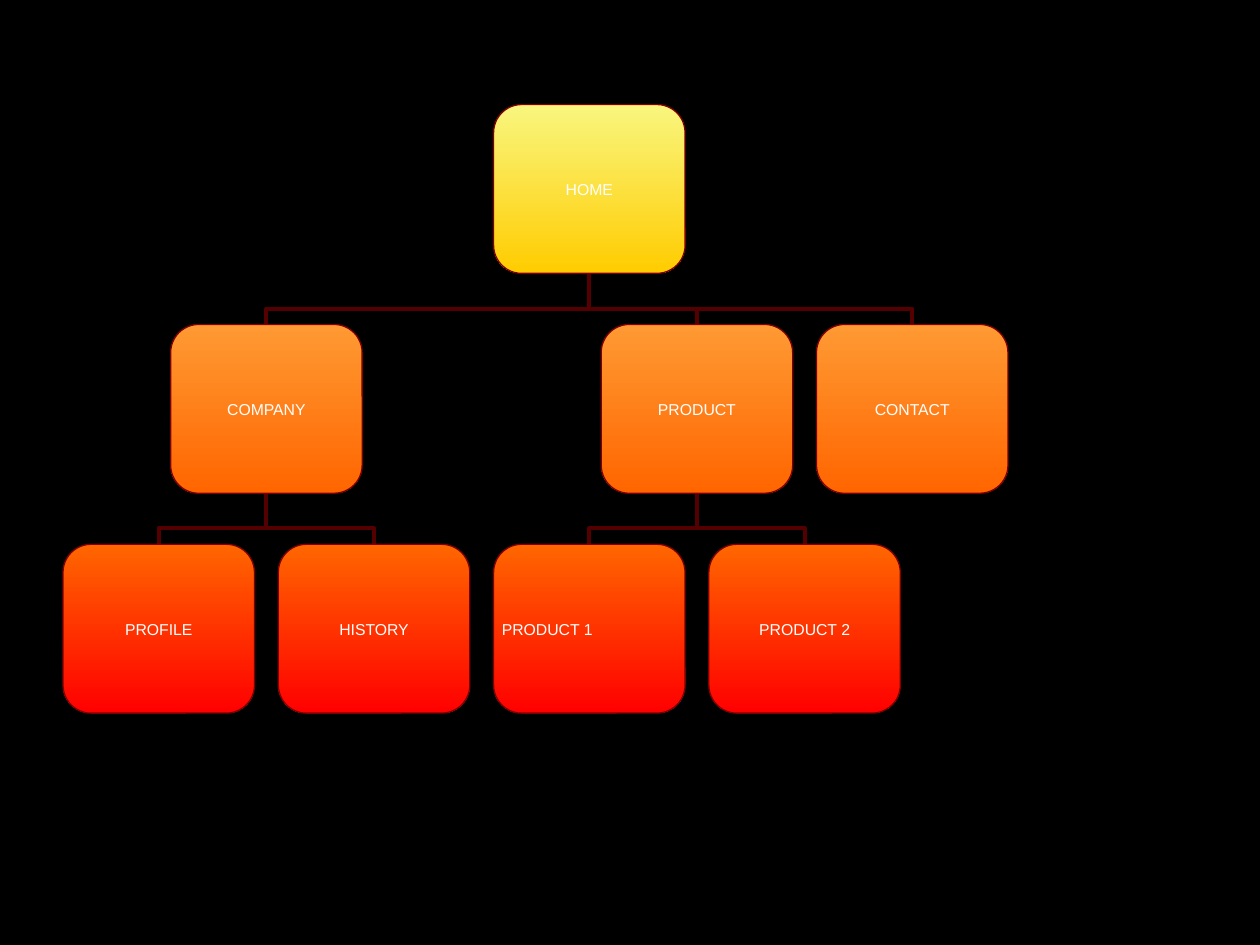
from lxml.etree import SubElement
from pptx import Presentation
from pptx.dml.color import RGBColor
from pptx.enum.shapes import MSO_CONNECTOR as CONNECTOR, MSO_SHAPE as SHAPE
from pptx.enum.text import MSO_ANCHOR, PP_ALIGN
from pptx.oxml.ns import qn
from pptx.util import Inches, Pt

BLACK = RGBColor(0x00, 0x00, 0x00)
WHITE = RGBColor(0xFF, 0xFF, 0xFF)
MAROON = RGBColor(0x80, 0x00, 0x00)
DARK_MAROON = RGBColor(0x54, 0x00, 0x00)
YELLOW = RGBColor(0xF9, 0xF6, 0x7F)
GOLD = RGBColor(0xFF, 0xCC, 0x00)
LIGHT_ORANGE = RGBColor(0xFF, 0x99, 0x33)
ORANGE = RGBColor(0xFF, 0x66, 0x00)
RED = RGBColor(0xFF, 0x00, 0x00)

LEVEL_GRADIENTS = [(YELLOW, GOLD), (LIGHT_ORANGE, ORANGE), (ORANGE, RED)]
CARD_WIDTH, CARD_HEIGHT = Inches(1.52), Inches(1.34)
COLUMN_SPAN = 3.5  # column steps from the first card to the last

# Page: (level, column, parent)
PAGES = {
    "HOME": (0, 2, None),
    "COMPANY": (1, 0.5, "HOME"),
    "PRODUCT": (1, 2.5, "HOME"),
    "CONTACT": (1, 3.5, "HOME"),
    "PROFILE": (2, 0, "COMPANY"),
    "HISTORY": (2, 1, "COMPANY"),
    "PRODUCT 1": (2, 2, "PRODUCT"),
    "PRODUCT 2": (2, 3, "PRODUCT"),
}
LEFT_ALIGNED = {"PRODUCT 1"}
TEXT_FRAME_FORMAT = {
    "margin_left": 0, "margin_top": 0, "margin_right": 0, "margin_bottom": 0,
    "vertical_anchor": MSO_ANCHOR.MIDDLE, "word_wrap": True,
}
FONT_FORMAT = {"name": "Arial", "size": Pt(9)}


def set_format(target, values):
    for attribute, value in values.items():
        setattr(target, attribute, value)


def add_branch(shapes, child, parent):
    """Link the top of a child card to the bottom of its parent."""
    child_x, child_y = child[0] + CARD_WIDTH // 2, child[1]
    parent_x, parent_y = parent[0] + CARD_WIDTH // 2, parent[1] + CARD_HEIGHT
    center_x, center_y = (child_x + parent_x) // 2, (child_y + parent_y) // 2
    half_run, half_gap = abs(child_x - parent_x) // 2, (child_y - parent_y) // 2

    # The elbow is laid out sideways, then turned upright about its centre
    side = 1 if child_x > parent_x else -1
    branch = shapes.add_connector(
        CONNECTOR.ELBOW,
        center_x - side * half_gap, center_y + half_run,
        center_x + side * half_gap, center_y - half_run)
    branch.line.color.rgb = DARK_MAROON
    branch.line.width = Pt(2.25)
    properties = branch._element.spPr
    properties.find(qn("a:xfrm")).set("rot", str((270 if side > 0 else 90) * 60000))
    bend = properties.find(qn("a:prstGeom")).get_or_add_avLst()
    SubElement(bend, qn("a:gd"), name="adj1", fmla="val 31100")
    SubElement(properties, qn("a:effectLst"))


def add_card(shapes, label, left, top, gradient):
    card = shapes.add_shape(SHAPE.ROUNDED_RECTANGLE, left, top, CARD_WIDTH, CARD_HEIGHT)
    card.shadow.inherit = False
    card.fill.gradient()
    card.fill.gradient_angle = 270
    for stop, color in zip(card.fill.gradient_stops, gradient):
        stop.color.rgb = color
    card.line.color.rgb = MAROON
    card.line.width = Pt(0.75)

    set_format(card.text_frame, TEXT_FRAME_FORMAT)
    paragraph = card.text_frame.paragraphs[0]
    paragraph.alignment = PP_ALIGN.LEFT if label in LEFT_ALIGNED else PP_ALIGN.CENTER
    run = paragraph.add_run()
    run.text = label
    set_format(run.font, FONT_FORMAT)
    run.font.color.rgb = WHITE


def add_site_map(slide, left, top, width, height):
    shapes = slide.shapes.add_group_shape().shapes
    column_step = (width - CARD_WIDTH) / COLUMN_SPAN
    level_step = (height - CARD_HEIGHT) / (len(LEVEL_GRADIENTS) - 1)
    corners = {
        page: (int(left + column * column_step), int(top + level * level_step))
        for page, (level, column, _) in PAGES.items()
    }

    # Branches lie behind the cards
    for page, (_, _, parent) in reversed(PAGES.items()):
        if parent:
            add_branch(shapes, corners[page], corners[parent])
    for page, (level, _, _) in PAGES.items():
        add_card(shapes, page, *corners[page], LEVEL_GRADIENTS[level])


def main():
    presentation = Presentation()
    presentation.slide_width, presentation.slide_height = Inches(10), Inches(7.5)
    slide = presentation.slides.add_slide(presentation.slide_layouts[6])
    slide.background.fill.solid()
    slide.background.fill.fore_color.rgb = BLACK
    add_site_map(slide, Inches(0.5), Inches(0.83), Inches(7.5), Inches(4.83))
    presentation.save("out.pptx")


if __name__ == "__main__":
    main()
